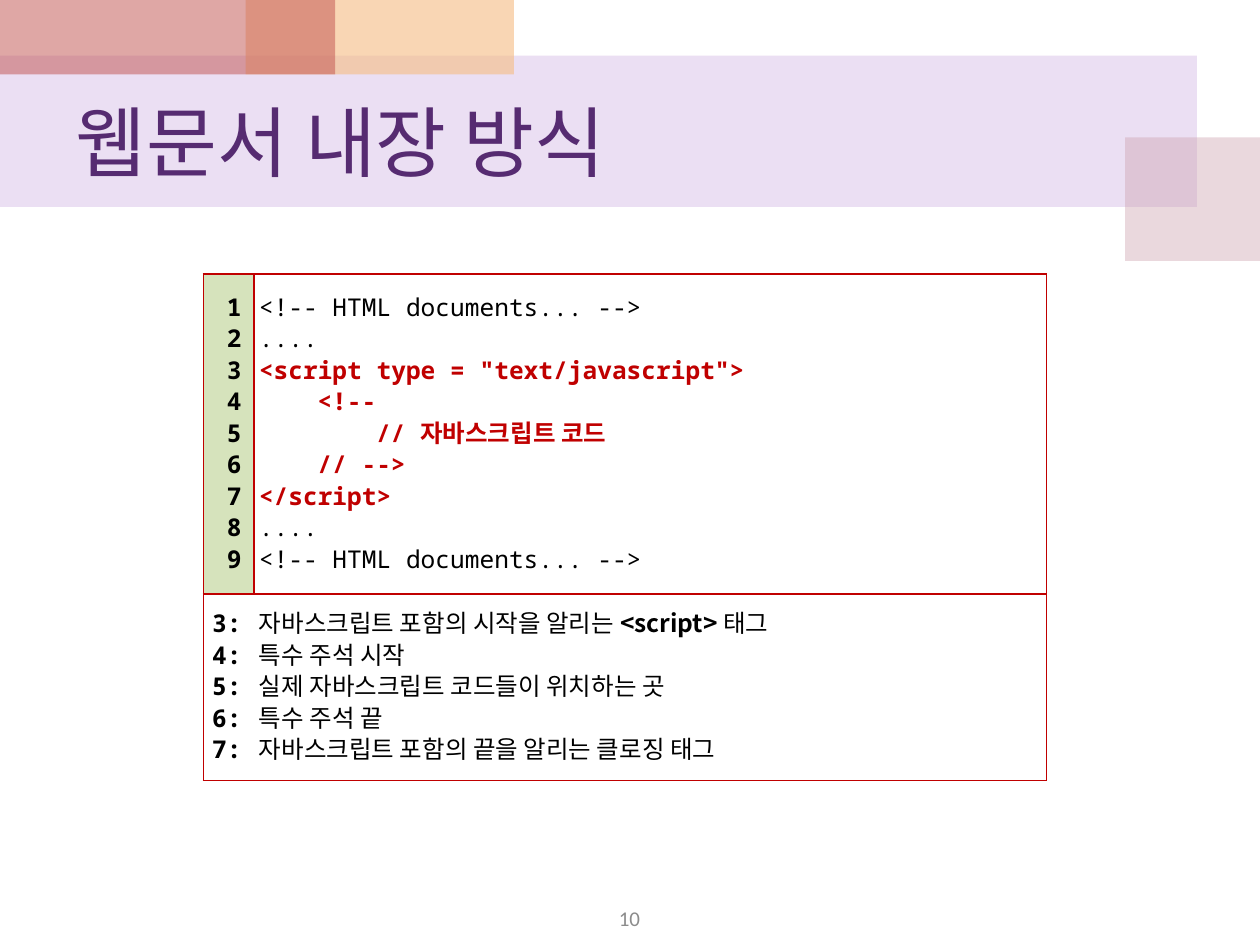
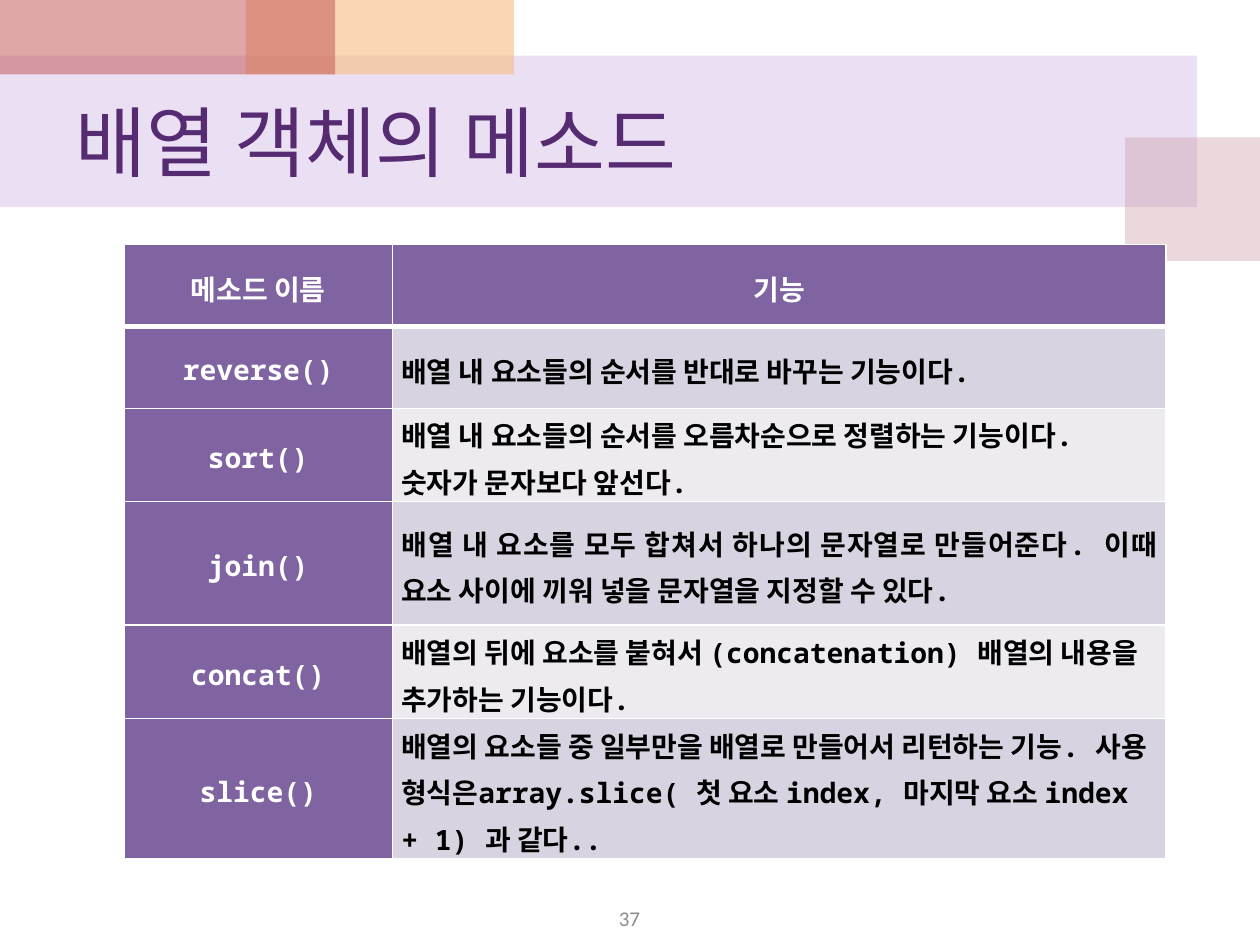
from dataclasses import dataclass

from lxml import etree
from pptx import Presentation
from pptx.dml.color import RGBColor
from pptx.enum import shapes, text
from pptx.oxml import ns
from pptx.util import Cm, Pt


@dataclass(frozen=True)
class Theme:
    # Colours
    lilac: str = "BF98D8"
    rose: str = "CC9EAC"
    peach: str = "F5BC83"
    red: str = "C0504D"
    plum: str = "562B71"
    grey: str = "8C8C8C"
    black: str = "000000"
    white: str = "FFFFFF"
    code: str = "C00000"
    green: str = "D6E3BC"
    violet: str = "8064A2"
    dark: str = "D8D3E0"
    light: str = "EDEAF0"
    # Fonts
    sans: str = "Calibri"
    mono: str = "Noto Sans Mono"
    hangul: str = "Noto Sans CJK KR"
    # Type sizes
    title: int = 44
    body: int = 16
    small: int = 14
    foot: int = 12


T = Theme()
LEFT, MID, RIGHT, JUST = (text.PP_ALIGN.LEFT, text.PP_ALIGN.CENTER,
                          text.PP_ALIGN.RIGHT, text.PP_ALIGN.JUSTIFY)
STEP = Cm(1.18)  # one code indent

# Left, top, width, height in cm, then colour and opacity in percent
BANDS = [
    (0, 1.12, 24.13, 3.05, T.lilac, 30),
    (22.68, 2.77, 2.72, 2.49, T.rose, 40),
    (4.95, 0, 5.41, 1.5, T.peach, 60),
    (0, 0, 6.76, 1.5, T.red, 50),
]

# Code lines: indent level, text, highlighted
CODE = [
    (0, "<!-- HTML documents... -->", False),
    (0, "....", False),
    (0, '<script type = "text/javascript">', True),
    (1, "<!--", True),
    (2, "// 자바스크립트 코드", True),
    (1, "// -->", True),
    (0, "</script>", True),
    (0, "....", False),
    (0, "<!-- HTML documents... -->", False),
]
FIRST = 3  # number of the first explained line
NOTES = [
    ["자바스크립트 포함의 시작을 알리는 ",
     ("<script> ", {"name": T.hangul, "bold": True}), "태그"],
    ["특수 주석 시작"],
    ["실제 자바스크립트 코드들이 위치하는 곳"],
    ["특수 주석 끝"],
    ["자바스크립트 포함의 끝을 알리는 클로징 태그"],
]

HEADS = ["메소드 이름", "기능"]
# Method, description, alignment, row height in cm
METHODS = [
    ("reverse()", "배열 내 요소들의 순서를 반대로 바꾸는 기능이다.", LEFT, 1.65),
    ("sort()", "배열 내 요소들의 순서를 오름차순으로 정렬하는 기능이다. "
     "숫자가 문자보다 앞선다.", LEFT, 1.88),
    ("join()", "배열 내 요소를 모두 합쳐서 하나의 문자열로 만들어준다. "
     "이때 요소 사이에 끼워 넣을 문자열을 지정할 수 있다.", JUST, 2.49),
    ("concat()", "배열의 뒤에 요소를 붙혀서 (concatenation) 배열의 "
     "내용을 추가하는 기능이다.", LEFT, 1.88),
    ("slice()", "배열의 요소들 중 일부만을 배열로 만들어서 리턴하는 기능. "
     "사용 형식은array.slice( 첫 요소 index, 마지막 요소 index + 1) 과 같다..",
     LEFT, 2.83),
]


def assign(item, values):
    for key, value in values.items():
        setattr(item, key, value)


def style(size, color, name, bold=False):
    return {"size": Pt(size), "color": color, "name": name, "bold": bold}


def write(para, runs, look, align, space=None, level=0):
    """Fill a paragraph with runs: plain strings or (string, changes)."""
    assign(para, {"alignment": align, "line_spacing": space})
    if level:
        para._p.get_or_add_pPr().set("marL", str(STEP * level))
    for part in runs:
        words, change = (part, {}) if isinstance(part, str) else part
        run = para.add_run()
        run.text = words
        values = {**look, **change}
        run.font.color.rgb = RGBColor.from_string(values.pop("color"))
        assign(run.font, values)
        etree.SubElement(run._r.get_or_add_rPr(), ns.qn("a:ea"),
                         typeface=T.hangul)


def fill(frame, lines):
    """Write one paragraph for each tuple of write() arguments."""
    for i, line in enumerate(lines):
        para = frame.add_paragraph() if i else frame.paragraphs[0]
        write(para, *line)


# Shared slide parts
def band(slide, left, top, width, height, color, alpha):
    shape = slide.shapes.add_shape(shapes.MSO_SHAPE.RECTANGLE, Cm(left),
                                   Cm(top), Cm(width), Cm(height))
    shape.shadow.inherit = False
    shape.line.fill.background()
    shape.fill.solid()
    shape.fill.fore_color.rgb = RGBColor.from_string(color)
    tint = shape.fill._xPr.find(".//" + ns.qn("a:srgbClr"))
    etree.SubElement(tint, ns.qn("a:alpha"), val=str(alpha * 1000))


def label(slide, box, words, look, align):
    frame = slide.shapes.add_textbox(*map(Cm, box)).text_frame
    assign(frame, {"word_wrap": True,
                   "vertical_anchor": text.MSO_ANCHOR.MIDDLE})
    fill(frame, [([words], look, align)])


def page(deck, title, number):
    slide = deck.slides.add_slide(deck.slide_layouts[6])
    for item in BANDS:
        band(slide, *item)
    label(slide, (1.27, 1.5, 22.86, 2.67), title,
          style(T.title, T.plum, T.sans), LEFT)
    label(slide, (9.73, 18.16, 5.92, 0.69), str(number),
          style(T.foot, T.grey, T.sans), MID)
    return slide


# Table parts
def grid(slide, left, top, cols, rows):
    table = slide.shapes.add_table(len(rows), len(cols), Cm(left), Cm(top),
                                   Cm(sum(cols)), Cm(sum(rows))).table
    assign(table, {"first_row": False, "horz_banding": False})
    for col, width in zip(table.columns, cols):
        col.width = Cm(width)
    for row, height in zip(table.rows, rows):
        row.height = Cm(height)
    return table


def edge(cell, color, widths):
    """Draw the cell borders; a width of 0 hides that side."""
    props = cell._tc.get_or_add_tcPr()
    for i, side in enumerate("LRTB"):
        width = widths.get(side, 1)
        line = etree.Element(ns.qn("a:ln" + side), w=str(Pt(width)))
        kind = "a:solidFill" if width else "a:noFill"
        paint = etree.SubElement(line, ns.qn(kind))
        if width:
            etree.SubElement(paint, ns.qn("a:srgbClr"), val=color)
        props.insert(i, line)


def put(cell, lines, pads, back, rim, widths):
    assign(cell, {"margin_left": Cm(pads[0]), "margin_right": Cm(pads[1]),
                  "margin_top": 0, "margin_bottom": 0,
                  "vertical_anchor": text.MSO_ANCHOR.MIDDLE})
    if back:
        cell.fill.solid()
        cell.fill.fore_color.rgb = RGBColor.from_string(back)
    else:
        cell.fill.background()
    edge(cell, rim, widths)
    fill(cell.text_frame, lines)


def listing(slide):
    plain = style(T.small, T.black, T.mono)
    bold = {**plain, "bold": True}
    hot = {**bold, "color": T.code}
    space = Pt(18)
    table = grid(slide, 4.1, 5.52, [1.02, 15.98], [6.45, 3.76])

    def count(start, size, tail=""):
        return [([f"{n}{tail}"], bold, RIGHT, space)
                for n in range(start, start + size)]

    code = [([words], hot if mark else plain, LEFT, space, level)
            for level, words, mark in CODE]
    notes = [(runs, plain, JUST, space) for runs in NOTES]
    cells = [
        (0, 0, count(1, len(CODE)), T.green, {}),
        (0, 1, code, None, {}),
        (1, 0, count(FIRST, len(NOTES), ":"), None, {"R": 0}),
        (1, 1, notes, None, {"L": 0}),
    ]
    for row, col, lines, back, widths in cells:
        put(table.cell(row, col), lines, (0.1, 0.25), back, T.code, widths)


def methods(slide):
    head = style(T.body, T.white, T.sans, True)
    name = {**head, "name": T.mono}
    body = {**name, "color": T.black}
    table = grid(slide, 2.5, 4.93, [5.41, 15.6],
                 [1.65] + [item[3] for item in METHODS])

    def place(row, col, words, look, align, back, widths):
        put(table.cell(row, col), [([words], look, align, 1.15)],
            (0.18, 0.18), back, T.white, widths)

    for col, words in enumerate(HEADS):
        place(0, col, words, head, MID, T.violet, {"B": 3})
    for row, (method, words, align, _) in enumerate(METHODS, 1):
        widths = {"T": 3} if row == 1 else {}
        place(row, 0, method, name, MID, T.violet, widths)
        place(row, 1, words, body, align,
              T.dark if row % 2 else T.light, widths)


def main():
    deck = Presentation()
    assign(deck, {"slide_width": Cm(25.4), "slide_height": Cm(19.05)})
    listing(page(deck, "웹문서 내장 방식", 10))
    methods(page(deck, "배열 객체의 메소드", 37))
    deck.save("out.pptx")


if __name__ == "__main__":
    main()
